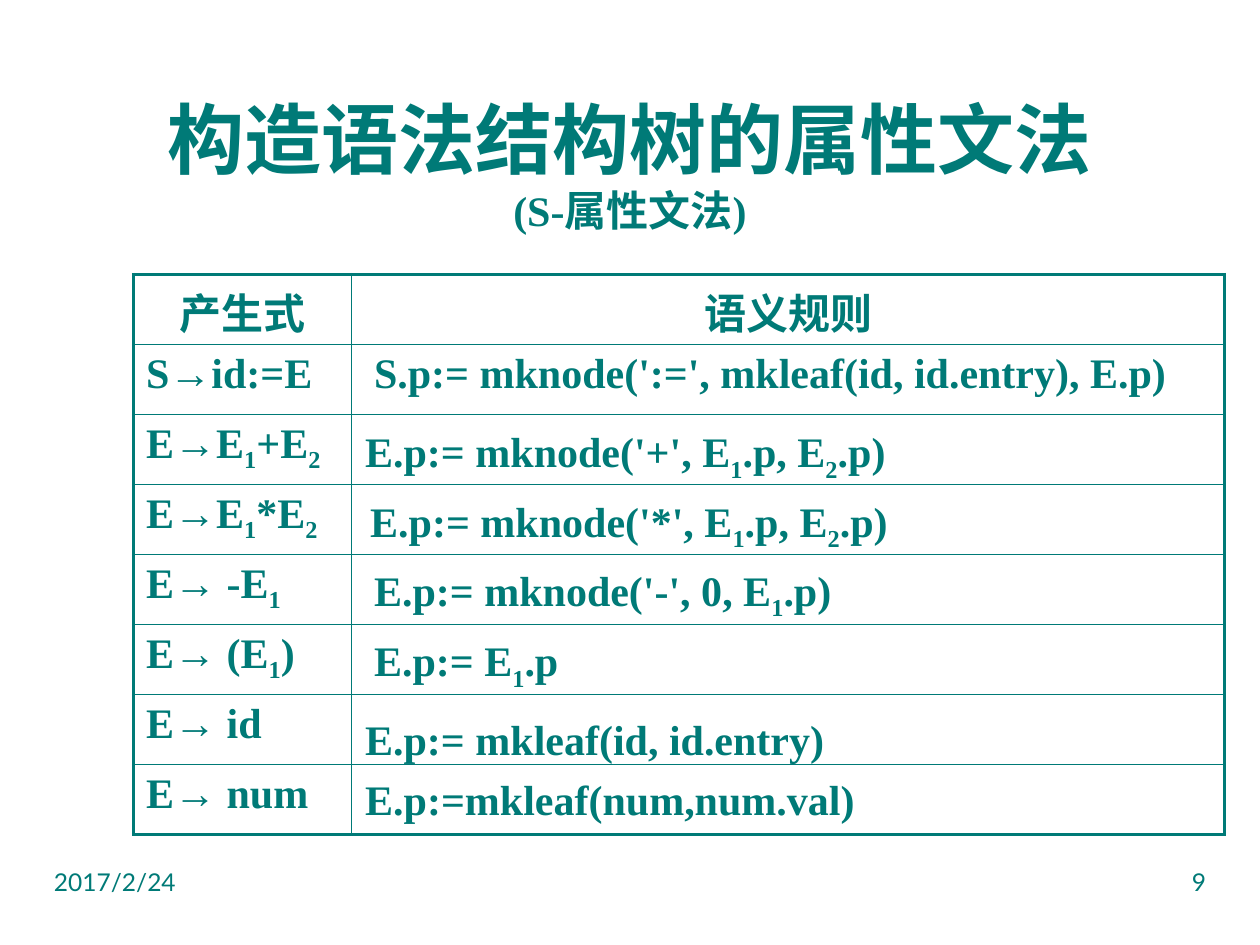
"""Builds the slide on the attribute grammar that constructs syntax trees."""
from lxml.etree import SubElement
from pptx import Presentation
from pptx.dml.color import RGBColor
from pptx.enum.text import MSO_ANCHOR as Anchor, MSO_AUTO_SIZE as AutoSize, PP_ALIGN as Align
from pptx.oxml.ns import qn
from pptx.util import Inches, Pt

TEAL = RGBColor(0x00, 0x7A, 0x77)
SERIF, SANS = "Times New Roman", "Lato"
SLIDE_W, SLIDE_H = 10, 7.5
MARGIN = 0.33
TABLE_LEFT, TABLE_TOP = 1.06, 2.18
COLUMN_WIDTHS = (1.73, 6.93)
ROW_HEIGHT = 4.44 / 8
THIN, THICK = 1, 2.25

TITLE, SUBTITLE = "构造语法结构树的属性文法", "(S-属性文法)"
HEADERS = ("产生式", "语义规则")
PRODUCTIONS = ("S→id:=E", "E→E_1+E_2", "E→E_1*E_2", "E→ -E_1", "E→ (E_1)", "E→ id", "E→ num")
RULES = (
    ("S.p:= mknode(':=', mkleaf(id, id.entry), E.p)", 2.87, 2.7, 6.49),
    ("E.p:= mknode('+', E_1.p, E_2.p)", 2.8, 3.33, 4.36),
    ("E.p:= mknode('*', E_1.p, E_2.p)", 2.84, 3.88, 4.34),
    ("E.p:= mknode('-', 0, E_1.p)", 2.87, 4.43, 3.85),
    ("E.p:= E_1.p", 2.87, 4.99, 1.68),
    ("E.p:= mkleaf(id, id.entry)", 2.8, 5.61, 5.04),
    ("E.p:=mkleaf(num,num.val)", 2.8, 6.09, 4.09),
)
FOOTERS = (("2017/2/24", MARGIN, Align.LEFT), ("9", SLIDE_W - MARGIN - 2.5, Align.RIGHT))


def style(run, size=24, face=SERIF, bold=True):
    run.font.size, run.font.name, run.font.bold = Pt(size), face, bold
    run.font.color.rgb = TEAL


def write_formula(paragraph, formula):
    """Adds runs, lowering the digit that follows each underscore."""
    head, *tails = formula.split("_")
    pieces = [(head, False)]
    for tail in tails:
        pieces += [(tail[0], True), (tail[1:], False)]
    for piece, lowered in pieces:
        if piece:
            run = paragraph.add_run()
            run.text = piece
            style(run)
            if lowered:
                run.font._element.set("baseline", "-25000")


def add_box(slide, left, top, width, height):
    return slide.shapes.add_textbox(*map(Inches, (left, top, width, height))).text_frame


def set_borders(cell, widths):
    for side, width in zip("LRTB", widths):
        line = SubElement(cell._tc.get_or_add_tcPr(), qn(f"a:ln{side}"), w=str(Pt(width)))
        SubElement(SubElement(line, qn("a:solidFill")), qn("a:srgbClr"), val=str(TEAL))


def add_title(slide):
    frame = add_box(slide, MARGIN, 0.67, SLIDE_W - 2 * MARGIN, 1.25)
    frame.word_wrap = True
    frame.vertical_anchor = Anchor.MIDDLE
    heading = frame.paragraphs[0]
    heading.text = f"{TITLE}\v{SUBTITLE}"
    heading.alignment = Align.CENTER
    for run, size in zip(heading.runs, (44, 24)):
        style(run, size)


def add_grammar(slide):
    rows = [HEADERS] + [(production, "") for production in PRODUCTIONS]
    frame = slide.shapes.add_table(
        len(rows), 2, Inches(TABLE_LEFT), Inches(TABLE_TOP),
        Inches(sum(COLUMN_WIDTHS)), Inches(ROW_HEIGHT * len(rows)))
    table = frame.table
    table.first_row = table.horz_banding = False
    for column, width in zip(table.columns, COLUMN_WIDTHS):
        column.width = Inches(width)
    for r, entries in enumerate(rows):
        table.rows[r].height = Inches(ROW_HEIGHT)
        for c, entry in enumerate(entries):
            cell = table.cell(r, c)
            outer = (c == 0, c == 1, r == 0, r == len(rows) - 1)
            set_borders(cell, [THICK if edge else THIN for edge in outer])
            cell.fill.background()
            paragraph = cell.text_frame.paragraphs[0]
            paragraph.alignment = Align.CENTER if r == 0 else Align.LEFT
            write_formula(paragraph, entry)


def add_rules(slide):
    for formula, left, top, width in RULES:
        frame = add_box(slide, left, top, width, 0.5)
        frame.word_wrap = False
        frame.auto_size = AutoSize.SHAPE_TO_FIT_TEXT
        write_formula(frame.paragraphs[0], formula)
        if formula.endswith("id.entry)"):
            frame.word_wrap = True


def add_footers(slide):
    for note, left, alignment in FOOTERS:
        frame = add_box(slide, left, 6.83, 2.5, 0.52)
        frame.word_wrap = True
        frame.text = note
        frame.paragraphs[0].alignment = alignment
        style(frame.paragraphs[0].runs[0], 14, SANS, False)


def main():
    deck = Presentation()
    deck.slide_width, deck.slide_height = Inches(SLIDE_W), Inches(SLIDE_H)
    slide = deck.slides.add_slide(deck.slide_layouts[6])
    for add_part in (add_title, add_grammar, add_footers, add_rules):
        add_part(slide)
    deck.save("out.pptx")


if __name__ == "__main__":
    main()
